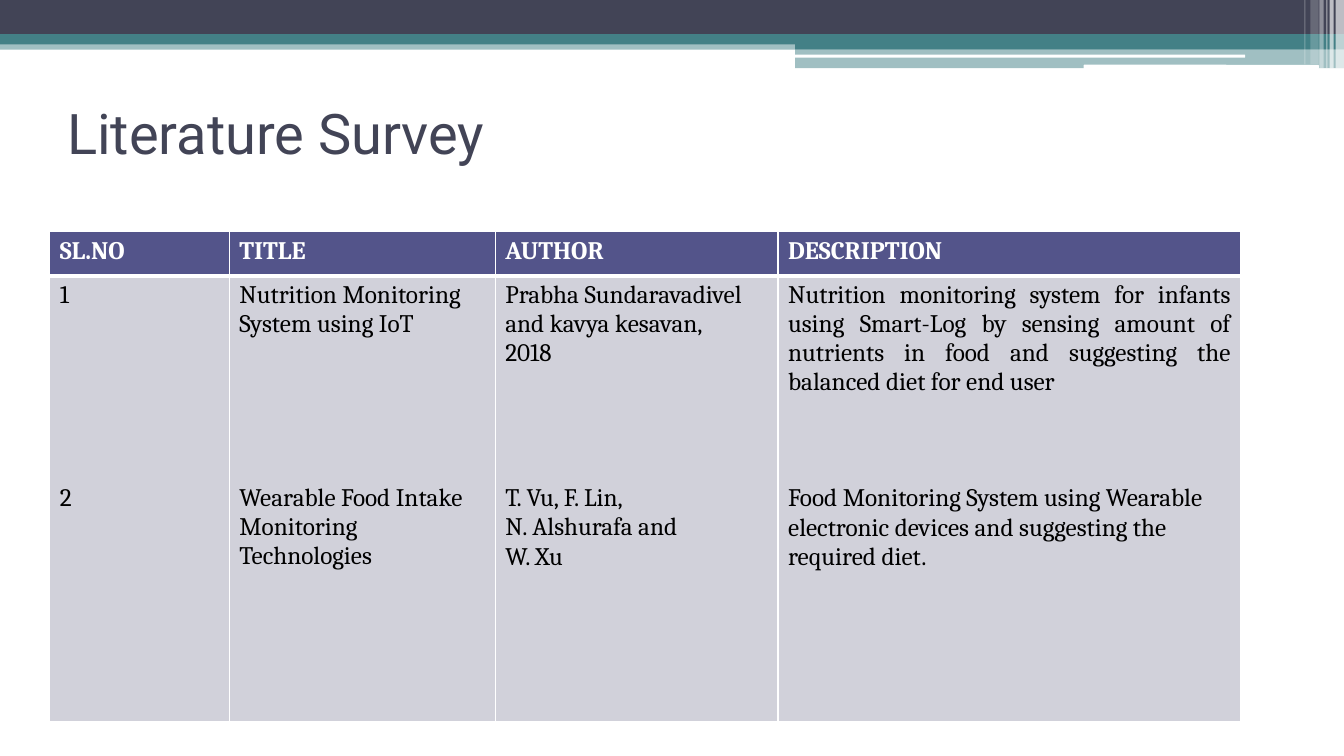
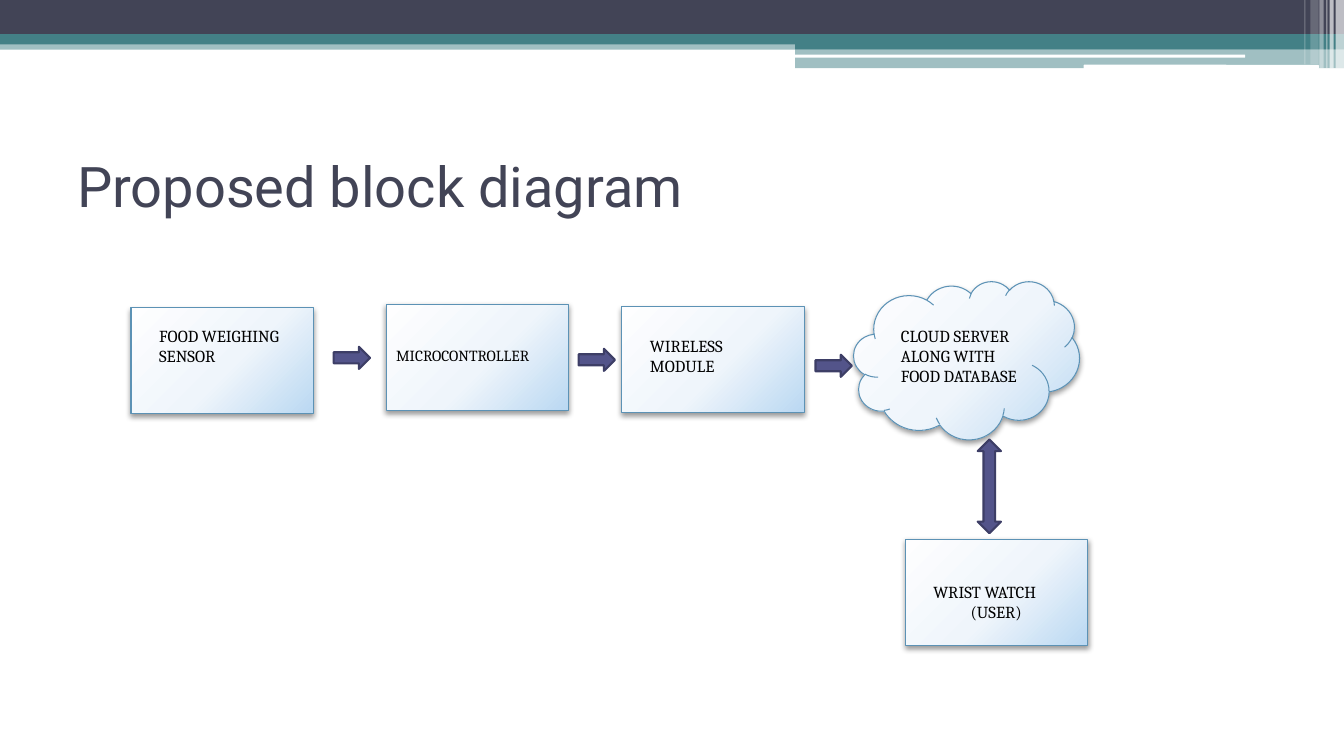
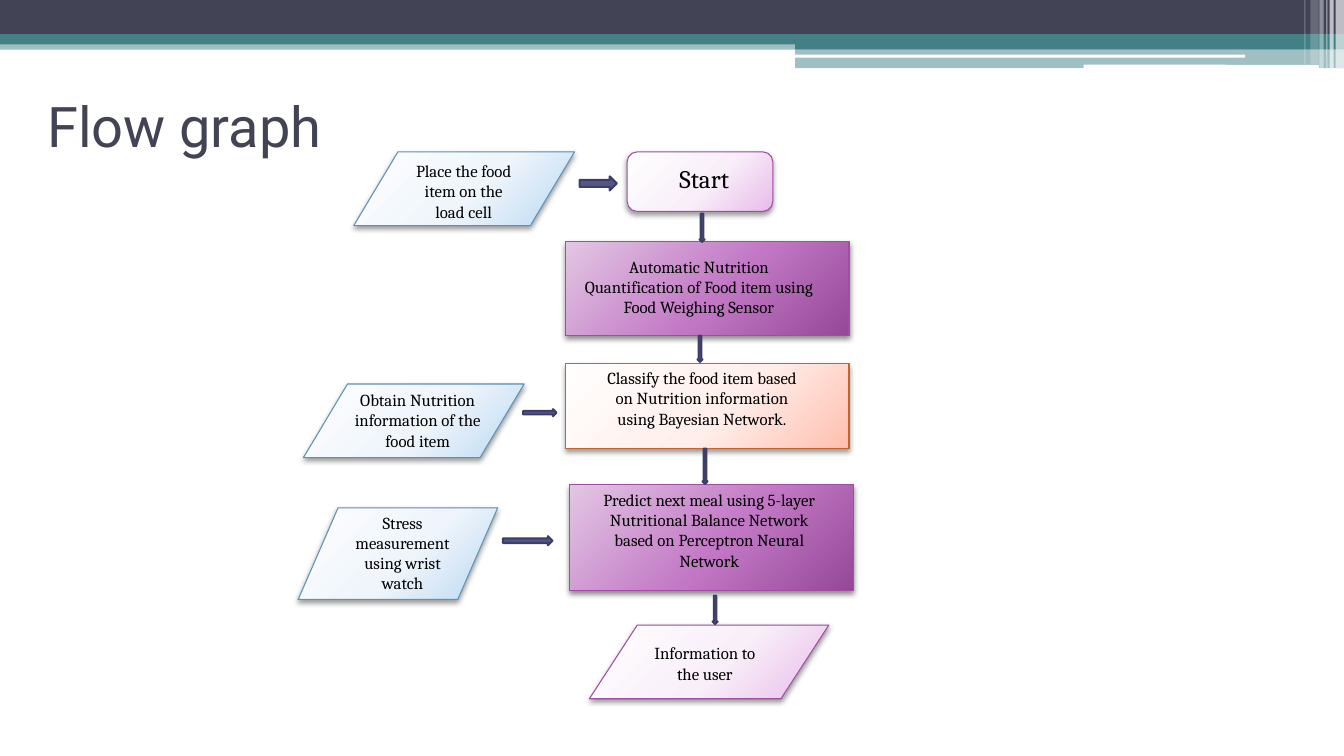
from pptx import Presentation
from pptx.dml.color import RGBColor
from pptx.enum.shapes import MSO_SHAPE
from pptx.enum.text import MSO_ANCHOR, PP_ALIGN
from pptx.oxml import parse_xml
from pptx.oxml.ns import nsdecls, qn
from pptx.util import Pt

INK = {"dark": "424456", "teal": "438086", "white": "FFFFFF", "black": "000000",
       "head": "53548A", "body": "D1D1DA", "edge": "3D3E66"}

# Node looks: three gradient colours, line colour, shadow opacity
LOOKS = {"blue": ("FEFEFF", "EFF5FB", "BAD8F2", "5C92B5", 40),
         "pink": ("FEFEFF", "F9EFF9", "E8BBEA", "A04DA3", 40),
         "plum": ("E2C6E3", "C277C5", "954898", "A04DA3", 45),
         "peach": ("FFFEFD", "FFEFEC", "FFBFAE", "C4652D", 40)}

RECT, ROUND = MSO_SHAPE.RECTANGLE, MSO_SHAPE.ROUNDED_RECTANGLE
SLANT, CLOUD = MSO_SHAPE.FLOWCHART_DATA, MSO_SHAPE.CLOUD
RIGHT, DOWN = MSO_SHAPE.RIGHT_ARROW, MSO_SHAPE.DOWN_ARROW
LEFT, MID = PP_ALIGN.LEFT, PP_ALIGN.CENTER

# Top band: kind, box, colour, opacity
BANDS = [(RECT, (0, 28.8, 960, 6.6), "teal", 50),
         (RECT, (0, 0, 960, 24.5), "dark", 100),
         (RECT, (0, 24.5, 960, 7.2), "teal", 100),
         (RECT, (568, 28, 392, 7.2), "teal", 100),
         (RECT, (568, 35, 392, 13.7), "teal", 50),
         (ROUND, (567.4, 39, 322, 2.2), "white", 100),
         (ROUND, (774, 46.3, 168, 3), "white", 100)]
# Pale stripes at the right end: left, width, height, opacity
STRIPES = [(954, 6, 49, 65), (949.7, 3, 49, 65), (947.5, 0.7, 49, 60),
           (942.5, 3, 49, 40), (936, 6, 46, 20), (931.7, 0.7, 46, 30)]
BANDS += [(RECT, (x, 0, w, h), "white", a) for x, w, h, a in STRIPES]


def rgb(name):
    return RGBColor.from_string(INK.get(name, name))


def style(par, size, color="black", face="Cambria", bold=False):
    font = par.font
    font.size, font.name, font.bold = Pt(size), face, bold
    font.color.rgb = rgb(color)


def shape(slide, kind, box, color, line=None, width=0.75):
    item = slide.shapes.add_shape(kind, *map(Pt, box))
    item.shadow.inherit = False
    item.fill.solid()
    item.fill.fore_color.rgb = rgb(color)
    if line:
        item.line.color.rgb = rgb(line)
        item.line.width = Pt(width)
    else:
        item.line.fill.background()
    return item


def label(slide, box, text, size, align=LEFT, color="black", face="Cambria"):
    frame = slide.shapes.add_textbox(*map(Pt, box)).text_frame
    frame.word_wrap = True
    frame.text = text
    for par in frame.paragraphs:
        par.alignment = align
        style(par, size, color, face)
    return frame


def arrow(slide, kind, box):
    shape(slide, kind, box, "head", "edge", 1.5)


def node(slide, kind, box, look, text, inset, align=LEFT, size=12):
    """Gradient shape with a label; inset is the label's offset and width."""
    *tints, line, depth = LOOKS[look]
    props = shape(slide, kind, box, tints[0], line).element.spPr
    stops = "".join(f'<a:gs pos="{pos}000"><a:srgbClr val="{tint}"/></a:gs>'
                    for pos, tint in zip((0, 55, 100), tints))
    props.replace(props.find(qn("a:solidFill")), parse_xml(
        f'<a:gradFill {nsdecls("a")} rotWithShape="1"><a:gsLst>{stops}</a:gsLst>'
        '<a:path path="circle"><a:fillToRect l="-40000" t="-90000" '
        'r="140000" b="190000"/></a:path></a:gradFill>'))
    props.find(qn("a:effectLst")).append(parse_xml(
        f'<a:outerShdw {nsdecls("a")} blurRad="51500" dist="25400" dir="5400000" '
        f'rotWithShape="0"><a:srgbClr val="000000"><a:alpha val="{depth}000"/>'
        '</a:srgbClr></a:outerShdw>'))
    x, y, wide = inset
    return label(slide, (box[0] + x, box[1] + y, wide, box[3] - y), text, size, align)


def page(deck, title, left, top):
    """Slide with the shared band and title."""
    slide = deck.slides.add_slide(deck.slide_layouts[6])
    for kind, box, color, alpha in BANDS:
        band = shape(slide, kind, box, color)
        if alpha < 100:
            tint = band.element.spPr.find(qn("a:solidFill"))[0]
            tint.append(parse_xml(f'<a:alpha {nsdecls("a")} val="{alpha}000"/>'))
    frame = label(slide, (left, top, 864, 84), title, 40, color="dark", face="Roboto")
    frame.vertical_anchor = MSO_ANCHOR.MIDDLE
    return slide


def border(cell, base):
    props = cell._tc.get_or_add_tcPr()
    for spot, (side, width) in enumerate(zip("LRTB", (1, 1, 1, base))):
        props.insert(spot, parse_xml(
            f'<a:ln{side} {nsdecls("a")} w="{width * 12700}"><a:solidFill>'
            f'<a:srgbClr val="{INK["white"]}"/></a:solidFill></a:ln{side}>'))


def survey(slide, box):
    """Table with two entries in one tall row."""
    # Heading, width, first entry and the lines it fills, second entry
    cols = [("SL.NO", 128.3, "1", 1, "2"),
            ("TITLE", 190, "Nutrition Monitoring System using IoT", 2,
             "Wearable Food Intake Monitoring Technologies"),
            ("AUTHOR", 202, "Prabha Sundaravadivel and kavya kesavan,\n2018", 3,
             "T. Vu, F. Lin,\nN. Alshurafa and\nW. Xu"),
            ("DESCRIPTION", 330.5, "Nutrition monitoring system for infants using "
             "Smart-Log by sensing amount of nutrients in food and suggesting the "
             "balanced diet for end user", 4, "Food Monitoring System using Wearable "
             "electronic devices and suggesting the required diet.")]
    pitch, start = 20.7, 7
    table = slide.shapes.add_table(2, len(cols), *map(Pt, box)).table
    table.rows[0].height, table.rows[1].height = Pt(31.5), Pt(box[3] - 31.5)
    for num, (head, width, first, lines, second) in enumerate(cols):
        table.columns[num].width = Pt(width)
        top, main = table.cell(0, num), table.cell(1, num)
        top.text, main.text = head, first + "\n" + second
        for cell, fill, color, base in ((top, "head", "white", 3),
                                        (main, "body", "black", 1)):
            cell.fill.solid()
            cell.fill.fore_color.rgb = rgb(fill)
            border(cell, base)
            for par in cell.text_frame.paragraphs:
                style(par, 18, color, bold=cell is top)
        # Second entries start on a common line
        pars = main.text_frame.paragraphs
        pars[first.count("\n") + 1].space_before = Pt((start - lines) * pitch)
    pars[0].alignment = PP_ALIGN.JUSTIFY


def blocks(slide, left, top):
    """Block diagram: a chain of parts, with the watch below the cloud."""
    def part(x, y, text, inset, size=12):
        return node(slide, RECT, (left + x, top + y, 130.5, 75.6), "blue", text, inset,
                    size=size)

    part(0, 18.7, "FOOD WEIGHING SENSOR", (13, 9.4, 104))
    part(182.2, 16.5, "MICROCONTROLLER", (0, 26, 131), 11)
    part(350.6, 18, "WIRELESS MODULE", (13, 17.3, 104))
    watch = part(553, 184.3, "WRIST WATCH\n(USER)", (13, 26.6, 104))
    watch.paragraphs[1].alignment = MID
    node(slide, CLOUD, (left + 516.2, top, 161.3, 113), "blue",
         "CLOUD SERVER ALONG WITH FOOD DATABASE", (26.6, 28, 108.7))
    for x, y in ((144.7, 46.8), (319.7, 48.2), (488.9, 52.5)):
        arrow(slide, RIGHT, (left + x, top + y, 26, 15.8))
    arrow(slide, MSO_SHAPE.UP_DOWN_ARROW, (left + 604.8, top + 113, 16.6, 67))


def flow(slide, left, top):
    """Flow chart: steps in a column, with inputs on its left."""
    steps = [
        (ROUND, (235, 0, 104, 42.5), "pink", "Start", (11.5, 4.5, 87), 18),
        (RECT, (191, 64.3, 202.5, 67), "plum", "Automatic Nutrition Quantification "
         "of Food item using Food Weighing Sensor", (3.5, 7, 183.5), 12),
        (RECT, (191, 151.5, 202.5, 60.5), "peach", "Classify the food item based on "
         "Nutrition information using Bayesian Network.", (17.5, -0.7, 160), 12),
        (RECT, (194, 237.8, 202.5, 75.6), "plum", "Predict next meal using 5-layer "
         "Nutritional Balance Network based on Perceptron Neural Network",
         (14.4, 0, 170.6), 12),
        (SLANT, (208, 338, 171, 52.6), "pink", "Information to the user",
         (39, 9.4, 87), 12),
        (SLANT, (39.7, 0, 157.7, 52.6), "blue", "Place the food item on the load cell",
         (33.5, 2.9, 90), 12),
        (SLANT, (3.7, 165.8, 157.7, 52.6), "blue",
         "Obtain Nutrition information of the food item", (25.2, 0.7, 113), 12),
        (SLANT, (0, 254.2, 142.5, 65.5), "blue",
         "Stress measurement using wrist watch", (27.4, 0, 94.3), 12)]
    for kind, (x, y, w, h), look, text, inset, size in steps:
        node(slide, kind, (left + x, top + y, w, h), look, text, inset, MID, size)
    # Arrows down the column
    for x, y, h in ((286.7, 44.1, 20.2), (285.2, 131.3, 18.7),
                    (288.8, 211.9, 25.2), (296, 317, 20.2)):
        arrow(slide, DOWN, (left + x, top + y, 3.6, h))
    # Arrows from the inputs
    for x, y, w, h in ((160.7, 183.8, 23.8, 5), (201, 17.5, 26.6, 10),
                       (146.3, 274.5, 35.3, 6.5)):
        arrow(slide, RIGHT, (left + x, top + y, w, h))


def main():
    deck = Presentation()
    deck.slide_width, deck.slide_height = Pt(960), Pt(540)
    survey(page(deck, "Literature Survey", 41, 52.6), (35.5, 165.6, 850.8, 349.5))
    blocks(page(deck, "Proposed block diagram", 48, 90), 93.6, 200.9)
    flow(page(deck, "Flow graph", 26.6, 47.5), 213, 108.5)
    deck.save("out.pptx")


if __name__ == "__main__":
    main()
